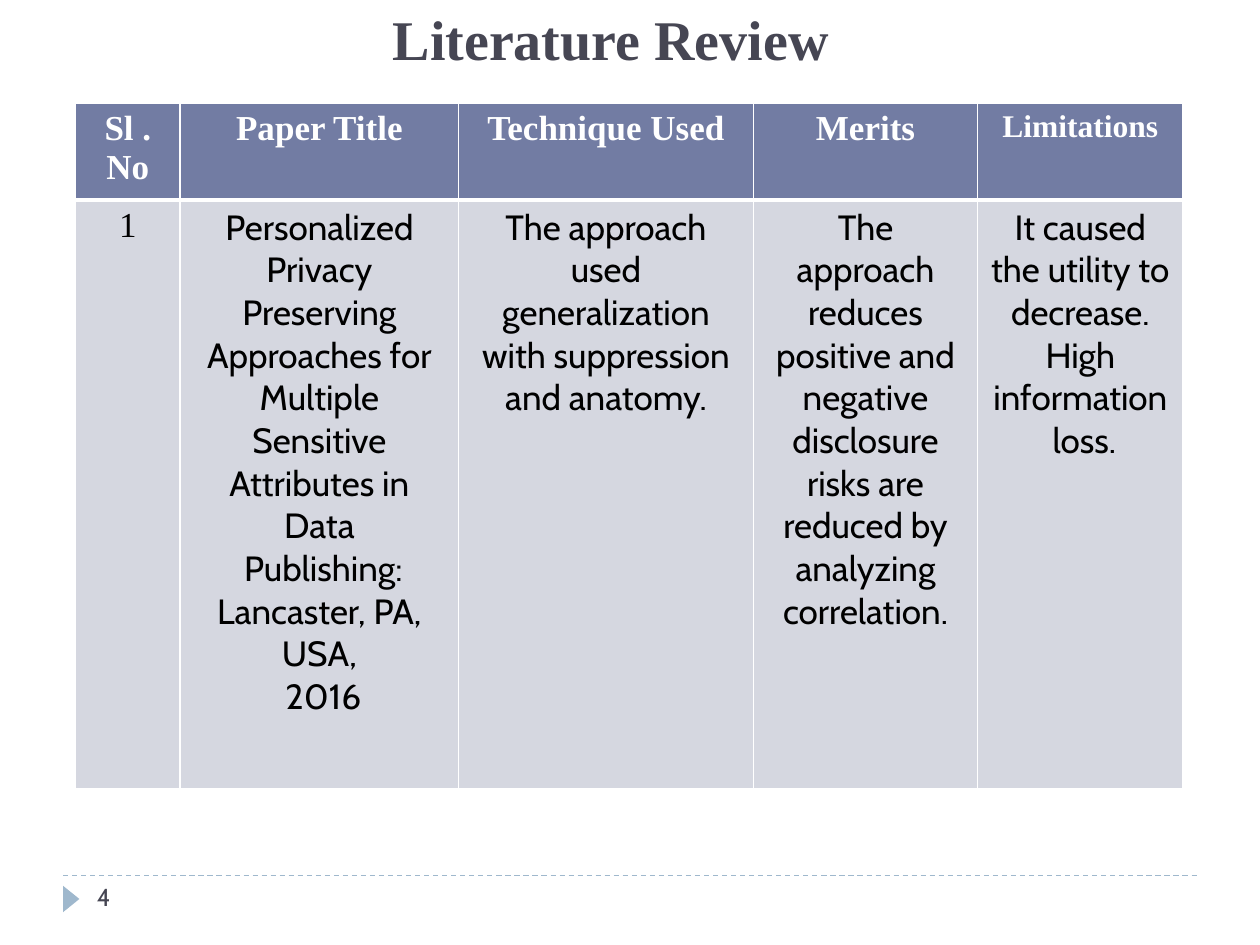
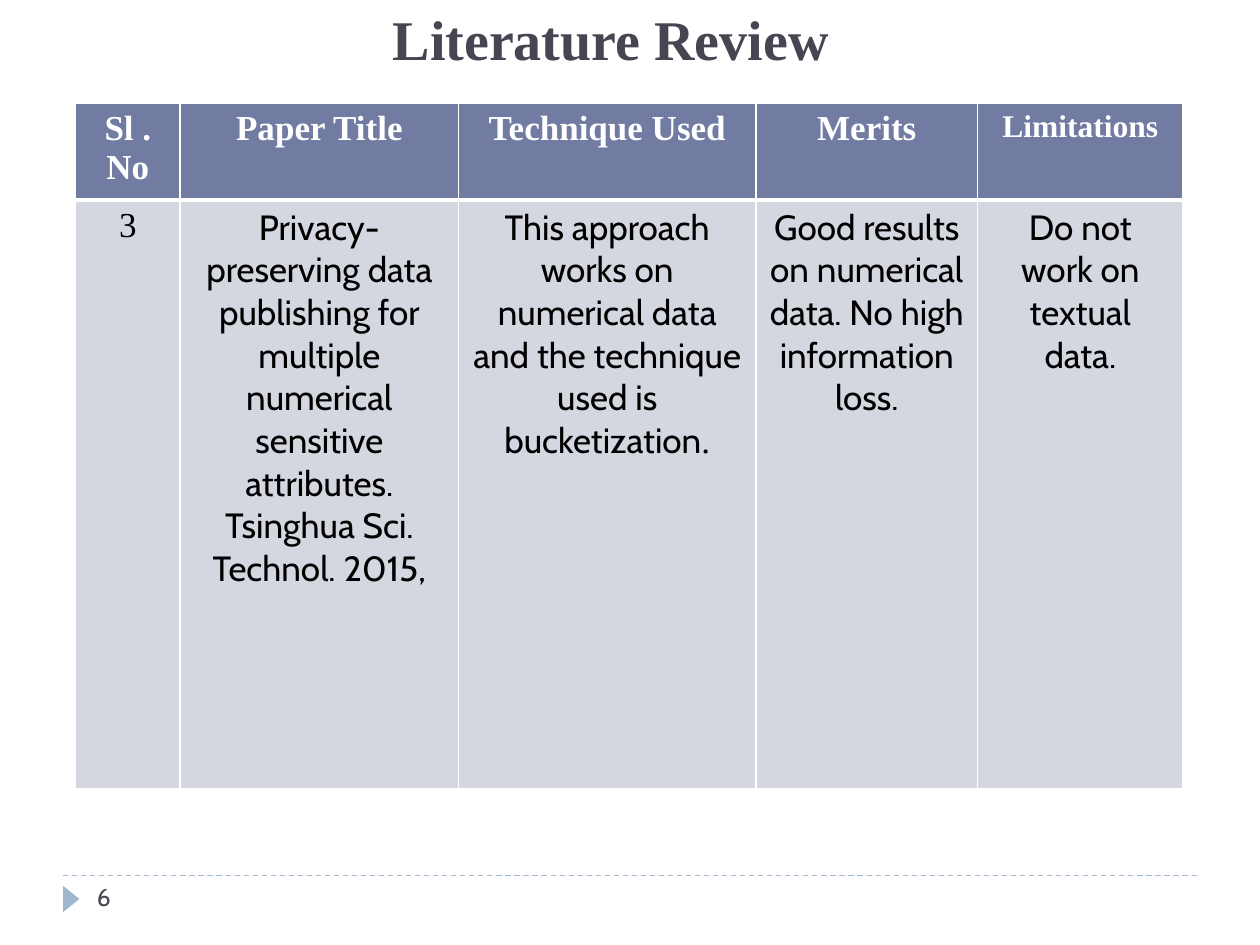
from lxml.etree import SubElement
from pptx import Presentation
from pptx.dml.color import RGBColor
from pptx.enum.dml import MSO_LINE_DASH_STYLE as Dash
from pptx.enum.shapes import MSO_CONNECTOR as Connector, MSO_SHAPE as Preset
from pptx.enum.text import MSO_ANCHOR as Anchor, PP_ALIGN as Align
from pptx.oxml.ns import qn
from pptx.util import Pt

PX = 9144  # EMU per px, 100 px to the inch
SLIDE_WIDTH, SLIDE_HEIGHT = 1000, 750

WHITE = RGBColor(0xFF, 0xFF, 0xFF)
BLACK = RGBColor(0, 0, 0)
INK = RGBColor(0x46, 0x46, 0x53)
ACCENT = RGBColor(0x9F, 0xB8, 0xCD)
HEADER_FILL = RGBColor(0x72, 0x7C, 0xA3)
BODY_FILL = RGBColor(0xD5, 0xD7, 0xE0)

SERIF, SANS = "Times New Roman", "Cabin"

TITLE_BOX = (75, -1, 820, 125)
TABLE_BOX = (60, 82, 879, 538)
FOOTER_BOX = (50, 695, 900, 40)
HEADER_HEIGHT = 71
HEADINGS = ["Sl . No", "Paper Title", "Technique Used", "Merits", "Limitations"]

# Each cell is a list of paragraphs; a paragraph is a string or a list of (text, font) runs
REVIEWS = [
    {
        "page": "4",
        "columns": [83, 221, 234, 178, 163],
        "cells": [
            ["1"],
            ["Personalized Privacy Preserving Approaches for Multiple Sensitive "
             "Attributes in Data", " Publishing:", "Lancaster, PA, USA,", " 2016"],
            ["The approach used generalization with suppression and anatomy."],
            ["The approach reduces positive and negative disclosure risks are "
             "reduced by analyzing correlation."],
            ["It caused the utility to decrease. High information", " loss."],
        ],
    },
    {
        "page": "6",
        "columns": [83, 221, 236, 176, 163],
        "cells": [
            ["3"],
            ["Privacy-preserving data publishing for multiple numerical sensitive "
             "attributes. Tsinghua Sci. Technol. 2015,"],
            [[("This approach works on numerical data and the technique used is "
               "bucketization", SANS), (".", SERIF)]],
            ["Good results on numerical data. No high information", "loss."],
            ["Do not work on textual data."],
        ],
    },
]


def scale(*lengths):
    return [length * PX for length in lengths]


def write_text(frame, paragraphs, size=20, font=SANS, color=BLACK, bold=False,
               align=Align.CENTER):
    frame.word_wrap = True
    for index, content in enumerate(paragraphs):
        paragraph = frame.add_paragraph() if index else frame.paragraphs[0]
        paragraph.alignment = align
        runs = [(content, font)] if isinstance(content, str) else content
        for text, run_font in runs:
            run = paragraph.add_run()
            run.text = text
            run.font.size = Pt(size)
            run.font.name = run_font
            run.font.bold = bold
            run.font.color.rgb = color


def add_text(slide, box, text, **text_format):
    frame = slide.shapes.add_textbox(*scale(*box)).text_frame
    frame.vertical_anchor = Anchor.TOP
    write_text(frame, [text], **text_format)


def set_borders(cell, bottom):
    """Draw white cell edges, 1 pt wide except for the given bottom width."""
    properties = cell._tc.get_or_add_tcPr()
    widths = {"a:lnL": 1, "a:lnR": 1, "a:lnT": 1, "a:lnB": bottom}
    for position, (tag, width) in enumerate(widths.items()):
        edge = SubElement(properties, qn(tag), w=str(Pt(width)))
        fill = SubElement(edge, qn("a:solidFill"))
        SubElement(fill, qn("a:srgbClr"), val=str(WHITE))
        properties.insert(position, edge)


def fill_cell(cell, paragraphs, fill, bottom, **text_format):
    cell.fill.solid()
    cell.fill.fore_color.rgb = fill
    cell.vertical_anchor = Anchor.TOP
    set_borders(cell, bottom)
    write_text(cell.text_frame, paragraphs, **text_format)


def add_review_table(slide, box, columns, cells):
    table = slide.shapes.add_table(2, len(columns), *scale(*box)).table
    table.horz_banding = False
    table.rows[0].height, table.rows[1].height = scale(HEADER_HEIGHT, box[3] - HEADER_HEIGHT)
    for index, width in enumerate(columns):
        table.columns[index].width = width * PX
        # Heading
        heading = HEADINGS[index]
        fill_cell(table.cell(0, index), [heading], HEADER_FILL, bottom=3,
                  size=18 if heading == "Limitations" else 20,
                  font=SERIF, color=WHITE, bold=True)
        # Review entry, with the serial number in serif
        fill_cell(table.cell(1, index), cells[index], BODY_FILL, bottom=1,
                  font=SANS if index else SERIF)


def add_footer(slide, box, page):
    left, top, width, height = box
    # Dashed rule
    rule = slide.shapes.add_connector(
        Connector.STRAIGHT, *scale(left, top, left + width, top))
    rule.line.color.rgb = ACCENT
    rule.line.width = Pt(0.75)
    rule.line.dash_style = Dash.DASH
    SubElement(rule._element.spPr, qn("a:effectLst"))
    # Page marker
    marker = slide.shapes.add_shape(
        Preset.ISOSCELES_TRIANGLE, *scale(left - 4, top + 12, 21, 13))
    marker.rotation = 90
    marker.shadow.inherit = False
    marker.fill.solid()
    marker.fill.fore_color.rgb = ACCENT
    marker.line.fill.background()
    # Page number
    add_text(slide, (left + 17, top, 217, height), page,
             size=14, color=INK, align=Align.LEFT)


def add_review_slide(presentation, review):
    slide = presentation.slides.add_slide(presentation.slide_layouts[6])
    slide.background.fill.solid()
    slide.background.fill.fore_color.rgb = WHITE
    add_footer(slide, FOOTER_BOX, review["page"])
    add_text(slide, TITLE_BOX, "Literature Review",
             size=32, font=SERIF, color=INK, bold=True)
    add_review_table(slide, TABLE_BOX, review["columns"], review["cells"])


def main():
    presentation = Presentation()
    presentation.slide_width, presentation.slide_height = scale(SLIDE_WIDTH, SLIDE_HEIGHT)
    for review in REVIEWS:
        add_review_slide(presentation, review)
    presentation.save("out.pptx")


if __name__ == "__main__":
    main()
